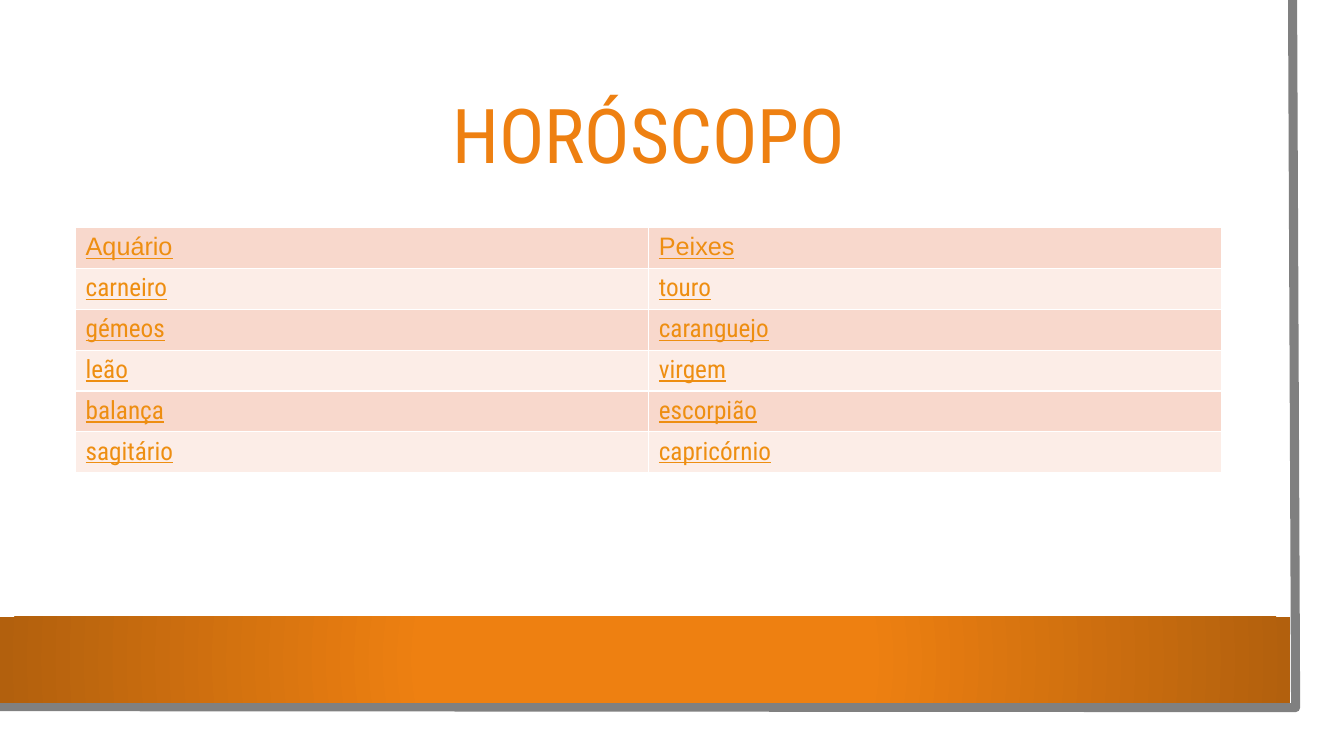
import pptx
import pptx.dml.color
import pptx.enum.shapes
import pptx.enum.text
import pptx.oxml
import pptx.oxml.ns
import pptx.util

Inches = pptx.util.Inches
Pt = pptx.util.Pt
RGB = pptx.dml.color.RGBColor
qn = pptx.oxml.ns.qn

WHITE = RGB(0xFF, 0xFF, 0xFF)
GRAY = RGB(0x80, 0x80, 0x80)
ORANGE = RGB(0xEE, 0x80, 0x11)
BROWN = RGB(0xB2, 0x60, 0x0D)
AMBER = RGB(0xEE, 0x8E, 0x11)
BANDS = (RGB(0xF8, 0xD8, 0xCC), RGB(0xFC, 0xED, 0xE7))

SIGNS = [
    ("Aquário", "Peixes"),
    ("carneiro", "touro"),
    ("gémeos", "caranguejo"),
    ("leão", "virgem"),
    ("balança", "escorpião"),
    ("sagitário", "capricórnio"),
]


class Deck:
    """Holds the style and the current slide."""

    font = "Roboto Condensed"
    head = "Arial"

    def __init__(self, slide):
        self.slide = slide
        self.shapes = slide.shapes

    def run(self, para, text, size, color, font, under=None):
        run = para.add_run()
        run.text = text
        run.font.size = Pt(size)
        run.font.name = font
        run.font.color.rgb = color
        run.font.underline = under

    def rect(self, left, top, width, height, color):
        kind = pptx.enum.shapes.MSO_SHAPE.RECTANGLE
        box = self.shapes.add_shape(
            kind, Inches(left), Inches(top), Inches(width), Inches(height))
        box.shadow.inherit = False
        box.line.fill.background()
        box.fill.solid()
        box.fill.fore_color.rgb = color
        return box

    def glow(self, box, inner, outer, start):
        """Fill a box with a gradient that spreads from its centre."""
        box.fill.gradient()
        stops = box.fill.gradient_stops
        for stop, color, pos in zip(stops, (inner, outer), (start, 1)):
            stop.color.rgb = color
            stop.position = pos
        lin = box.element.spPr.find(".//" + qn("a:lin"))
        lin.getparent().replace(lin, pptx.oxml.parse_xml(
            f'<a:path {pptx.oxml.ns.nsdecls("a")} path="circle">'
            '<a:fillToRect l="50000" t="50000" r="50000" b="50000"/></a:path>'))

    def edge(self, points, color, width):
        spots = [(Inches(x), Inches(y)) for x, y in points]
        pen = self.shapes.build_freeform(*spots[0])
        pen.add_line_segments(spots[1:], close=False)
        edge = pen.convert_to_shape()
        edge.shadow.inherit = False
        edge.fill.background()
        edge.line.color.rgb = color
        edge.line.width = Pt(width)
        pptx.oxml.ns.qn("a:miter")
        edge.line.fill.solid()
        edge.line.color.rgb = color

    def title(self, text, left, top, width, height):
        title = self.shapes.title
        title.left, title.top = Inches(left), Inches(top)
        title.width, title.height = Inches(width), Inches(height)
        frame = title.text_frame
        frame.word_wrap = True
        frame.vertical_anchor = pptx.enum.text.MSO_ANCHOR.MIDDLE
        para = frame.paragraphs[0]
        para.alignment = pptx.enum.text.PP_ALIGN.CENTER
        para.line_spacing = 0.9
        self.run(para, text, 54, ORANGE, self.font)
        # Bring the title in front of the frame
        title.element.getparent().append(title.element)

    def border(self, cell, color, width):
        props = cell._tc.get_or_add_tcPr()
        for spot, side in enumerate(("lnL", "lnR", "lnT", "lnB")):
            props.insert(spot, pptx.oxml.parse_xml(
                f'<a:{side} {pptx.oxml.ns.nsdecls("a")} w="{Pt(width)}">'
                f'<a:solidFill><a:srgbClr val="{color}"/></a:solidFill>'
                f'</a:{side}>'))

    def table(self, rows, left, top, width, height):
        table = self.shapes.add_table(
            len(rows), len(rows[0]), Inches(left), Inches(top),
            Inches(width), Inches(height)).table
        table.first_row = table.horz_banding = False
        for r, row in enumerate(rows):
            for c, text in enumerate(row):
                cell = table.cell(r, c)
                cell.fill.solid()
                cell.fill.fore_color.rgb = BANDS[r % 2]
                self.border(cell, WHITE, 1)
                font = self.font if r else self.head
                self.run(cell.text_frame.paragraphs[0], text, 18, AMBER,
                         font, True)


def main():
    prs = pptx.Presentation()
    prs.slide_width, prs.slide_height = Inches(13.33), Inches(7.5)
    deck = Deck(prs.slides.add_slide(prs.slide_layouts[5]))

    # Page frame and bottom band
    deck.rect(0, 0, 13.1, 7.27, WHITE)
    deck.edge([(12.82, 0), (12.85, 7.02), (-0.03, 7.01)], GRAY, 6.5)
    band = deck.rect(0, 6.12, 12.8, 0.85, ORANGE)
    deck.glow(band, ORANGE, BROWN, 0.34)

    # Title and table of signs
    deck.title("HORÓSCOPO", 0.75, 0.75, 11.37, 1.26)
    deck.table(SIGNS, 0.75, 2.26, 11.37, 2.43)

    prs.save("out.pptx")


if __name__ == "__main__":
    main()
